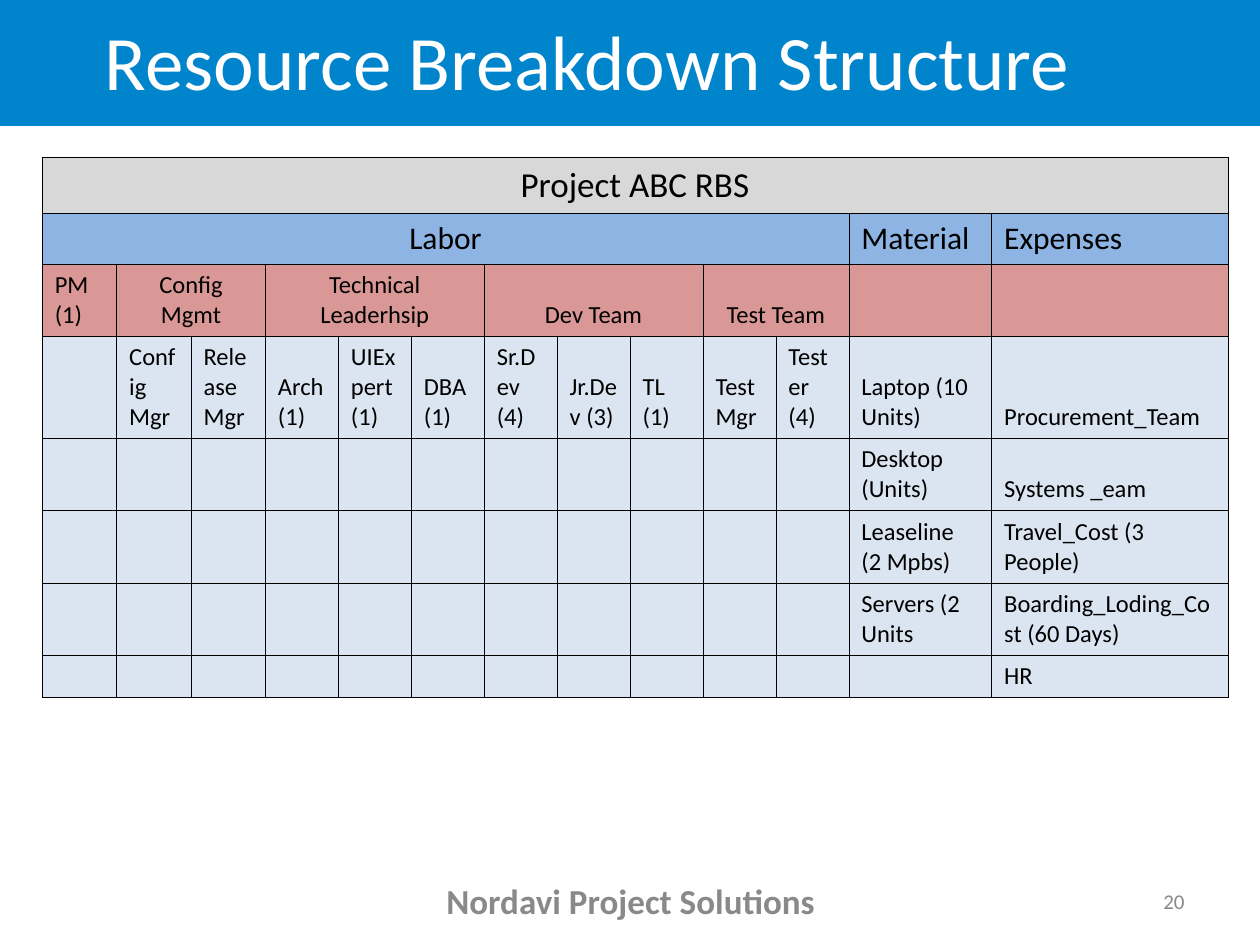
from lxml.etree import SubElement
from pptx import Presentation
from pptx.dml.color import RGBColor
from pptx.enum.shapes import MSO_SHAPE
from pptx.enum.text import MSO_ANCHOR, PP_ALIGN
from pptx.oxml import parse_xml
from pptx.oxml.ns import nsdecls, qn
from pptx.util import Cm, Pt

HUES = {
    "band": "0084CC", "white": "FFFFFF", "black": "000000", "foot": "898989",
    "top": "D8D8D8", "class": "8DB4E3", "team": "D99795", "role": "DBE5F1",
}


def paint(frame, size, hue, align, bold=False):
    """Format the single paragraph of a text frame."""
    frame.word_wrap = True
    para = frame.paragraphs[0]
    para.alignment = align
    for run in para.runs:
        run.font.name = "Calibri"
        run.font.size = Pt(size)
        run.font.bold = bold
        run.font.color.rgb = RGBColor.from_string(HUES[hue])


def edge(cell):
    """Draw a thin black line on each side of a cell."""
    props = cell._tc.get_or_add_tcPr()
    for spot, side in enumerate(("lnL", "lnR", "lnT", "lnB")):
        props.insert(spot, parse_xml(
            f'<a:{side} {nsdecls("a")} w="2921"><a:solidFill>'
            f'<a:srgbClr val="{HUES["black"]}"/></a:solidFill></a:{side}>'))


deck = Presentation()
deck.slide_width, deck.slide_height = Cm(25.4), Cm(19.05)
slide = deck.slides.add_slide(deck.slide_layouts[5])
shapes = slide.shapes

# Title band, behind the title
band = shapes.add_shape(MSO_SHAPE.RECTANGLE, Cm(0), Cm(0), Cm(25.4), Cm(2.54))
band.shadow.inherit = False
band.fill.solid()
band.fill.fore_color.rgb = RGBColor.from_string(HUES["band"])
band.line.fill.background()
shapes._spTree.insert(2, band._element)

# Title
title = shapes.title
title.left, title.top, title.width, title.height = Cm(0.2), Cm(0.08), Cm(23.3), Cm(2.24)
title.text_frame.text = "Resource Breakdown Structure"
title.text_frame.vertical_anchor = MSO_ANCHOR.MIDDLE
paint(title.text_frame, 44, "white", PP_ALIGN.CENTER)

# Table content: text by column, one dict a row
rows = [
    {0: "Project ABC RBS"},
    {0: "Labor", 11: "Material", 12: "Expenses"},
    {0: "PM (1)", 1: "Config Mgmt", 3: "Technical Leaderhsip",
     6: "Dev Team", 9: "Test Team"},
    dict(enumerate(["Config Mgr", "Release Mgr", "Arch (1)", "UIExpert (1)",
                    "DBA (1)", "Sr.Dev (4)", "Jr.Dev (3)", "TL (1)", "Test Mgr",
                    "Tester (4)", "Laptop (10 Units)", "Procurement_Team"], 1)),
    {11: "Desktop (Units)", 12: "Systems _eam"},
    {11: "Leaseline (2 Mpbs)", 12: "Travel_Cost (3 People)"},
    {11: "Servers (2 Units", 12: "Boarding_Loding_Cost (60 Days)"},
    {12: "HR"},
]
spans = {(0, 0): 13, (1, 0): 11, (2, 1): 2, (2, 3): 3, (2, 6): 3, (2, 9): 2}
fills = ["top", "class", "team"] + ["role"] * 5
sizes = [20, 18] + [14] * 6
wide = [1.5] * 3 + [1.47] * 8 + [2.88, 4.76]
high = [1.12, 1.02, 1.45, 2.05, 1.45, 1.45, 1.45, 0.85]

# Table grid
grid = shapes.add_table(len(high), len(wide), Cm(0.85), Cm(3.17),
                        Cm(sum(wide)), Cm(sum(high))).table
grid.first_row = grid.horz_banding = False
for col, width in zip(grid.columns, wide):
    col.width = Cm(width)
for row, height in zip(grid.rows, high):
    row.height = Cm(height)
for (r, c), count in spans.items():
    grid.cell(r, c).merge(grid.cell(r, c + count - 1))

# Table cells
for r, texts in enumerate(rows):
    for c in range(len(wide)):
        cell = grid.cell(r, c)
        cell.fill.solid()
        cell.fill.fore_color.rgb = RGBColor.from_string(HUES[fills[r]])
        cell.vertical_anchor = MSO_ANCHOR.BOTTOM
        edge(cell)
        if c in texts:
            cell.text_frame.text = texts[c]
            align = PP_ALIGN.CENTER if (r, c) in spans else PP_ALIGN.LEFT
            paint(cell.text_frame, sizes[r], "black", align)
        else:
            # An empty cell must not stretch its row
            para = cell.text_frame.paragraphs[0]
            SubElement(para._p, qn("a:endParaRPr"), sz=str(sizes[r] * 100))

# Footer and page number
for text, left, width, size, align, bold in [
    ("Nordavi Project Solutions", 8.69, 8.05, 20, PP_ALIGN.CENTER, True),
    ("20", 18.21, 5.92, 12, PP_ALIGN.RIGHT, False),
]:
    frame = shapes.add_textbox(Cm(left), Cm(17.65), Cm(width), Cm(1.02)).text_frame
    frame.text = text
    frame.vertical_anchor = MSO_ANCHOR.MIDDLE
    paint(frame, size, "foot", align, bold)

deck.save("out.pptx")
